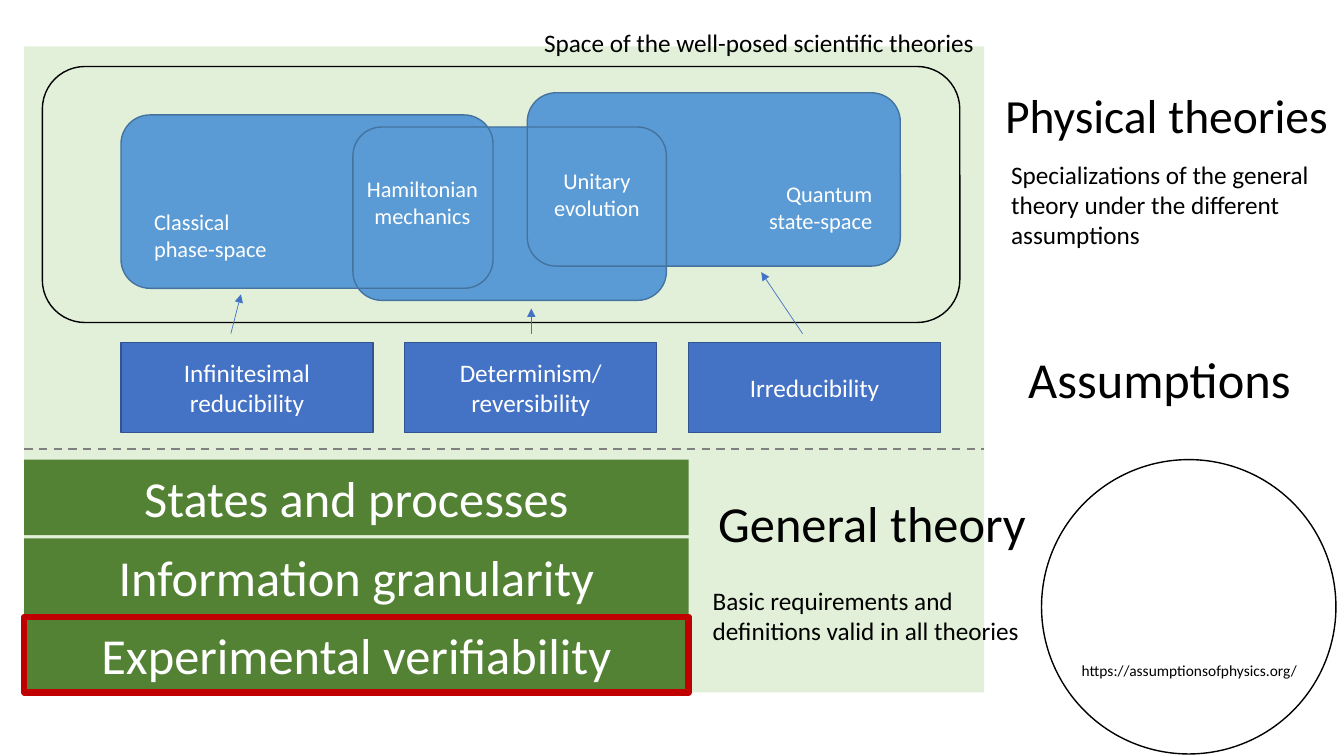
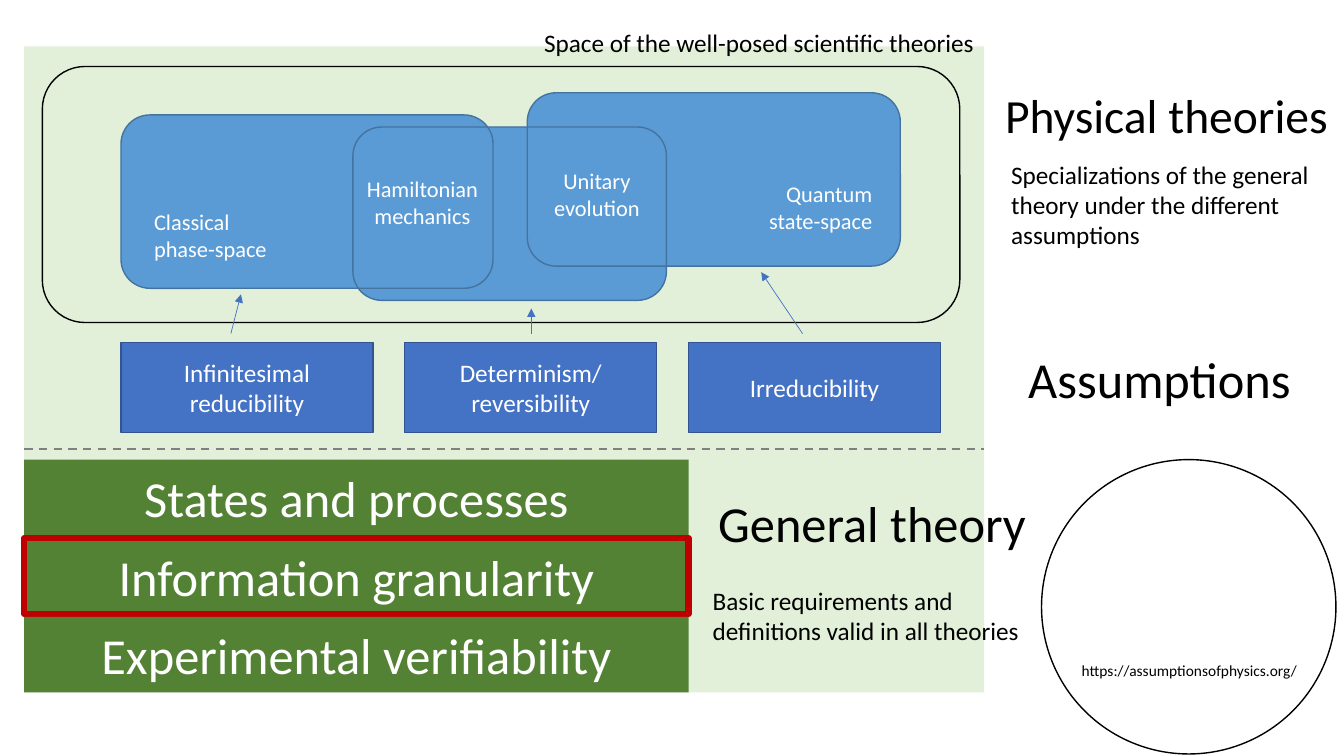
from lxml.etree import SubElement
from pptx import Presentation
from pptx.dml.color import RGBColor
from pptx.enum.dml import MSO_LINE
from pptx.enum.shapes import MSO_CONNECTOR, MSO_SHAPE
from pptx.enum.text import MSO_ANCHOR, MSO_AUTO_SIZE, PP_ALIGN
from pptx.oxml.ns import qn
from pptx.util import Emu, Pt

# Content: boxes are (left, top, width, height) in px, 100 px to the inch
SLIDE_SIZE = (1333, 750)
FONT = "Calibri"
COLORS = {
    "black": "000000", "white": "FFFFFF", "panel": "E2F0D9",
    "theory": "5B9BD5", "theory_edge": "43739E",
    "assumption": "4472C4", "assumption_edge": "325491",
    "foundation": "548235", "highlight": "C00000", "divider": "808080",
}
LEFT, CENTER, RIGHT = PP_ALIGN.LEFT, PP_ALIGN.CENTER, PP_ALIGN.RIGHT

BADGE = (1033, 456, 292, 292)
BADGE_URL = ("https://assumptionsofphysics.org/", (1063, 651, 235, 29))
PANEL = (24, 46, 952, 641)
THEORY_SPACE = (42, 66, 910, 254)
DIVIDER_Y = 445

OVERLAP = (350, 126, 311, 172)
THEORIES = [  # box, fill, edge
    (OVERLAP, "theory", None),
    ((120, 114, 369, 172), "theory", "theory_edge"),
    ((523, 92, 370, 172), "theory", "theory_edge"),
    (OVERLAP, None, "theory_edge"),
]
LABELS = [  # text, box, size, colour, alignment
    ("Classical\nphase-space", (143, 202, 183, 64), 16, "white", LEFT),
    ("Quantum\nstate-space", (692, 174, 183, 64), 16, "white", RIGHT),
    ("Hamiltonian\nmechanics", (350, 169, 138, 64), 16, "white", CENTER),
    ("Unitary\nevolution", (523, 161, 138, 64), 16, "white", CENTER),
    ("Space of the well-posed scientific theories",
     (383, 22, 593, 40), 18, "black", RIGHT),
    ("Physical theories", (987, 80, 346, 67), 34, "black", LEFT),
    ("Specializations of the general theory under the different assumptions",
     (993, 153, 341, 101), 18, "black", LEFT),
    ("Assumptions", (977, 340, 346, 71), 36, "black", CENTER),
    ("General theory", (692, 483, 346, 71), 36, "black", CENTER),
    ("Basic requirements and definitions valid in all theories",
     (697, 576, 341, 71), 18, "black", LEFT),
]

ASSUMPTIONS = ["Infinitesimal reducibility", "Determinism/\nreversibility",
               "Irreducibility"]
ASSUMPTION_ROW = (120, 340, 813, 89)
ASSUMPTION_WIDTH = 250
ARROWS = [((229, 331), (239, 292)), ((527, 331), (527, 306)),
          ((796, 331), (755, 270))]

FOUNDATIONS = ["States and processes", "Information granularity",
               "Experimental verifiability"]
FOUNDATION_TOP_BAR = (24, 456, 659, 75)
FOUNDATION_STEP = 78
HIGHLIGHTS = ["Experimental verifiability", "Information granularity"]


def px(length):
    return Emu(round(length * 9144))


def rgb(color):
    return RGBColor.from_string(COLORS[color])


def write(frame, text, size, color, align):
    paragraph = frame.paragraphs[0]
    paragraph.alignment = align
    for number, line in enumerate(text.split("\n")):
        if number:
            paragraph.add_line_break()
        run = paragraph.add_run()
        run.text = line
        run.font.name, run.font.size = FONT, Pt(size)
        run.font.color.rgb = rgb(color)


def add_block(slide, preset, box, fill=None, edge=None, weight=1, text="", size=18):
    block = slide.shapes.add_shape(preset, *map(px, box))
    block.shadow.inherit = False
    if fill:
        block.fill.solid()
        block.fill.fore_color.rgb = rgb(fill)
    else:
        block.fill.background()
    if edge:
        block.line.color.rgb = rgb(edge)
        block.line.width = Pt(weight)
    else:
        block.line.fill.background()
    if text:
        block.text_frame.word_wrap = True
        block.text_frame.vertical_anchor = MSO_ANCHOR.MIDDLE
        write(block.text_frame, text, size, "white", CENTER)
    return block


def add_label(slide, text, box, size, color, align, wrap=True):
    label = slide.shapes.add_textbox(*map(px, box))
    label.text_frame.word_wrap = wrap
    label.text_frame.auto_size = MSO_AUTO_SIZE.SHAPE_TO_FIT_TEXT
    write(label.text_frame, text, size, color, align)
    return label


def add_line(slide, start, end, color, weight):
    line = slide.shapes.add_connector(MSO_CONNECTOR.STRAIGHT, *map(px, start + end))
    line.line.color.rgb = rgb(color)
    line.line.width = Pt(weight)
    SubElement(line.element.spPr, qn("a:effectLst"))
    return line


def put_badge_on_layout(layout, slide):
    """Draw the web badge once and keep it on the shared layout."""
    for placeholder in list(layout.placeholders):
        layout.shapes.element.remove(placeholder.element)
    url, box = BADGE_URL
    for part in (add_block(slide, MSO_SHAPE.OVAL, BADGE, edge="black"),
                 add_label(slide, url, box, 11, "black", LEFT, wrap=False)):
        layout.shapes.element.append(part.element)


def build_overview(slide, highlighted):
    # Panel and theories
    add_block(slide, MSO_SHAPE.RECTANGLE, PANEL, "panel")
    add_block(slide, MSO_SHAPE.ROUNDED_RECTANGLE, THEORY_SPACE, edge="black")
    for box, fill, edge in THEORIES:
        add_block(slide, MSO_SHAPE.ROUNDED_RECTANGLE, box, fill, edge)

    # Assumptions, spread evenly over their row
    left, top, width, height = ASSUMPTION_ROW
    step = (width - ASSUMPTION_WIDTH) / (len(ASSUMPTIONS) - 1)
    for column, assumption in enumerate(ASSUMPTIONS):
        add_block(slide, MSO_SHAPE.RECTANGLE,
                  (left + column * step, top, ASSUMPTION_WIDTH, height),
                  "assumption", "assumption_edge", text=assumption)
    for start, end in ARROWS:
        arrow = add_line(slide, start, end, "assumption", 0.5)
        SubElement(arrow.line._get_or_add_ln(), qn("a:tailEnd"), type="triangle")

    # Labels
    for label in LABELS:
        add_label(slide, *label)

    # General theory bars
    left, top, width, height = FOUNDATION_TOP_BAR
    for row, foundation in enumerate(FOUNDATIONS):
        add_block(slide, MSO_SHAPE.RECTANGLE,
                  (left, top + row * FOUNDATION_STEP, width, height), "foundation",
                  "highlight" if foundation == highlighted else None, 4.5,
                  foundation, 36)

    # Divider
    left, _, width, _ = PANEL
    divider = add_line(slide, (left, DIVIDER_Y), (left + width, DIVIDER_Y),
                       "divider", 1.5)
    divider.line.dash_style = MSO_LINE.DASH


def main():
    deck = Presentation()
    deck.slide_width, deck.slide_height = map(px, SLIDE_SIZE)
    blank = deck.slide_layouts[6]
    slides = [deck.slides.add_slide(blank) for _ in HIGHLIGHTS]
    put_badge_on_layout(blank, slides[0])
    for slide, highlighted in zip(slides, HIGHLIGHTS):
        build_overview(slide, highlighted)
    deck.save("out.pptx")


if __name__ == "__main__":
    main()
